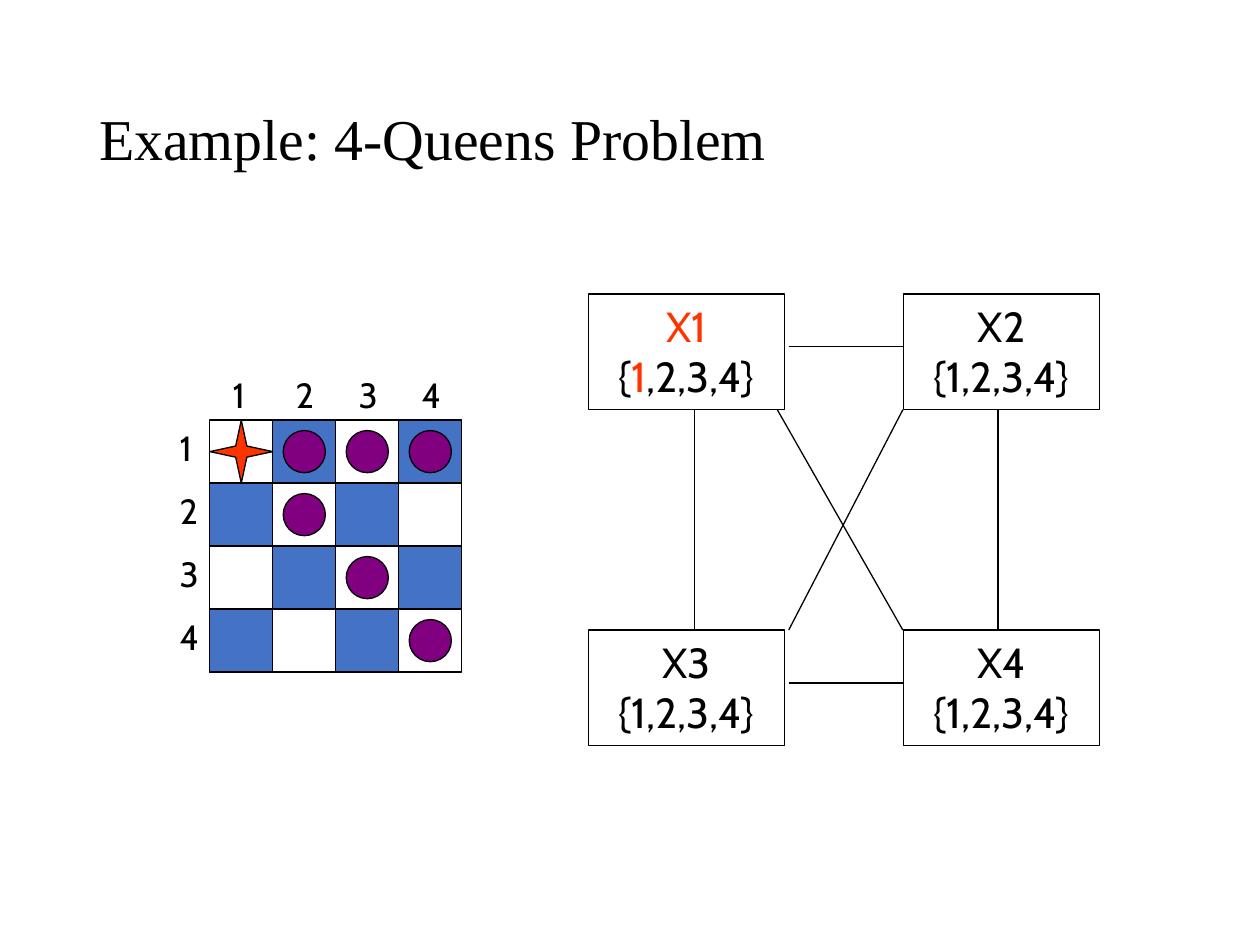
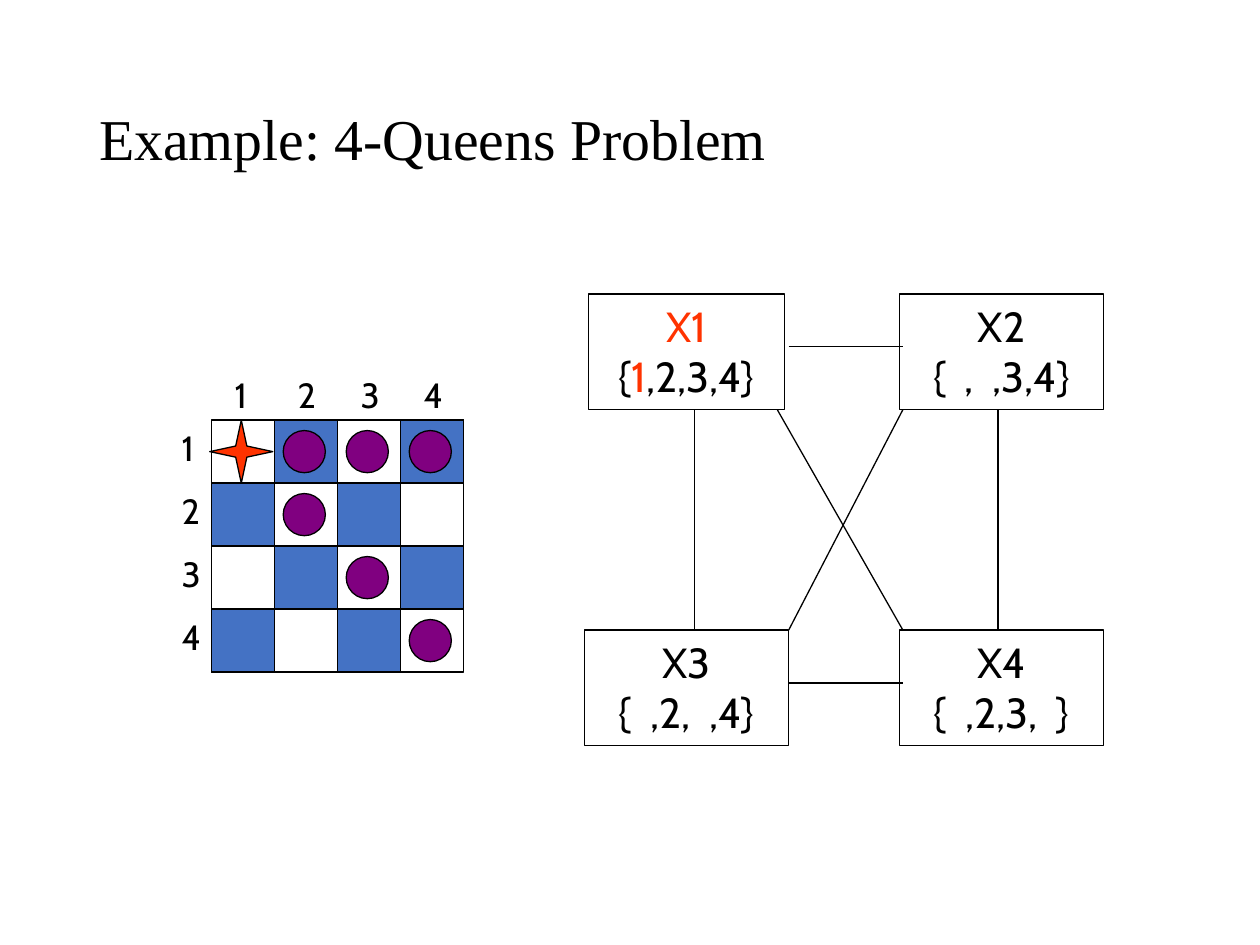
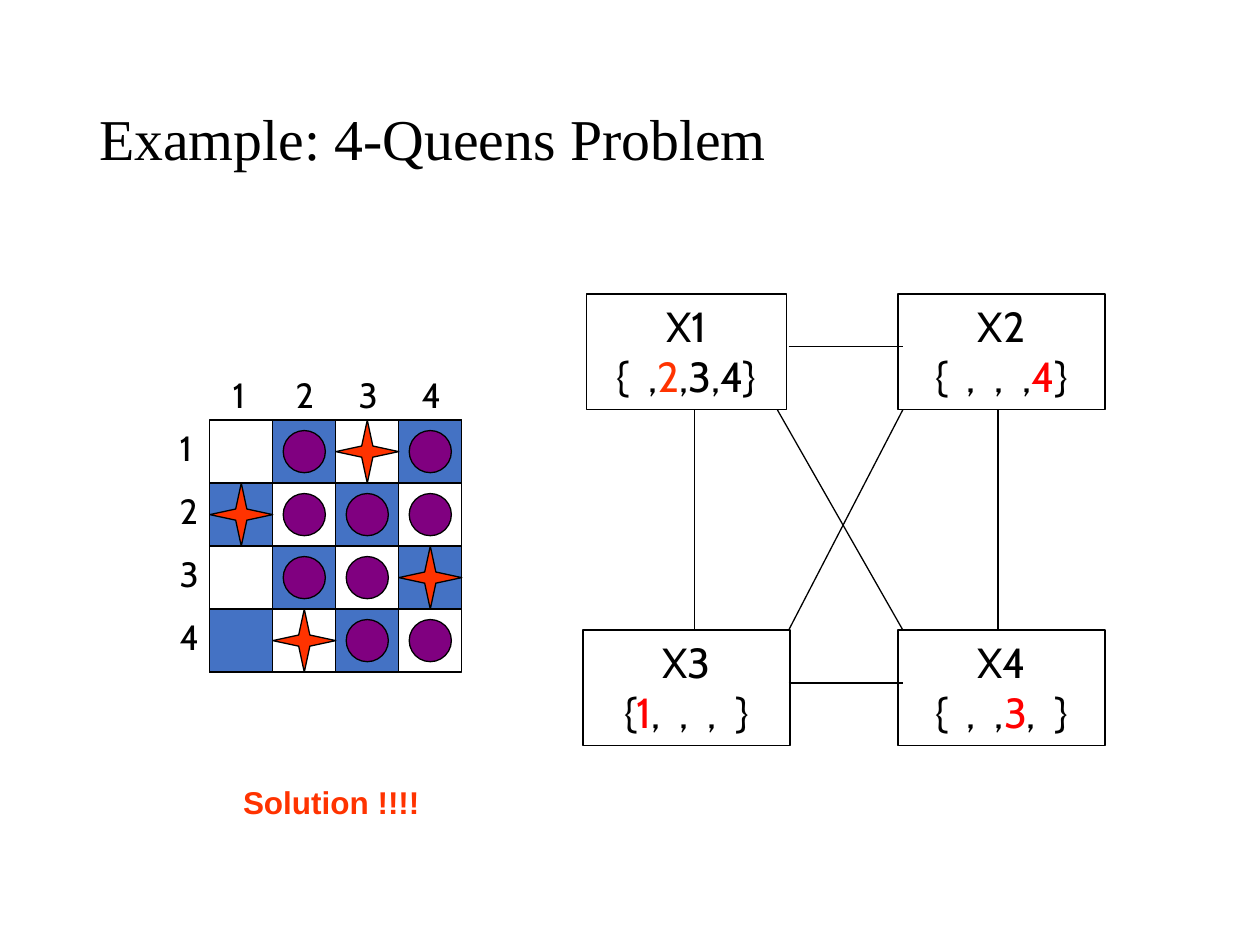
import itertools

import pptx
import pptx.dml.color
import pptx.enum.shapes
import pptx.enum.text
import pptx.oxml.ns
import pptx.util
from lxml import etree

Cm = pptx.util.Cm
Pt = pptx.util.Pt
SHAPE = pptx.enum.shapes.MSO_SHAPE
ANCHOR = pptx.enum.text.MSO_ANCHOR
ALIGN = pptx.enum.text.PP_ALIGN

COLORS = {"ink": "000000", "square": "4472C4", "queen": "FF3300",
          "attacked": "800080", "chosen": "FF0000"}
TITLE = "Example: 4-Queens Problem"
FONT = "Cabin"

FIRST_QUEEN = ["*ooo", ".o..", "..o.", "...o"]
SOLVED = [".o*o", "*ooo", ".oo*", ".*oo"]

SLIDES = [
    {"board_left": 4.23, "pieces": FIRST_QUEEN, "note": None,
     "variables": [
         ("X1", "{1,2,3,4}", "X1", "queen", 3.96),
         ("X2", "{1,2,3,4}", "", "ink", 3.96),
         ("X3", "{1,2,3,4}", "", "ink", 3.96),
         ("X4", "{1,2,3,4}", "", "ink", 3.96)]},
    {"board_left": 4.27, "pieces": FIRST_QUEEN, "note": None,
     "variables": [
         ("X1", "{1,2,3,4}", "X1", "queen", 3.96),
         ("X2", "{ , ,3,4}", "", "ink", 4.1),
         ("X3", "{ ,2, ,4}", "", "ink", 4.1),
         ("X4", "{ ,2,3, }", "", "ink", 4.1)]},
    {"board_left": 4.23, "pieces": SOLVED, "note": "Solution !!!!",
     "variables": [
         ("X1", "{ ,2,3,4}", "2", "queen", 4.04),
         ("X2", "{ , , ,4}", "4", "chosen", 4.17),
         ("X3", "{1, , , }", "1", "chosen", 4.17),
         ("X4", "{ , ,3, }", "3", "chosen", 4.17)]},
]

CELL = 1.27
DISC = 0.85
GRID_LEFT, GRID_TOP = 4.23, 8.47
NODE_CENTERS = (13.84, 20.19)
NODE_TOPS = (5.93, 12.7)
NODE_HEIGHT = 2.33
GAP_SPACING = 540
EDGES = [(15.9, 6.99, 18.2, 6.99), (14, 8.26, 14, 12.7),
         (15.9, 13.77, 18.2, 13.77), (20.12, 8.26, 20.12, 12.7),
         (15.67, 8.26, 18.2, 12.7), (18.2, 8.26, 15.9, 12.7)]


def rgb(name):
    return pptx.dml.color.RGBColor.from_string(COLORS[name])


def style(r, size, color="ink", font=FONT, bold=False):
    r.font.size = Pt(size)
    r.font.name = font
    r.font.bold = bold
    r.font.color.rgb = rgb(color)


def add_shape(slide, kind, left, top, width, height, fill=None):
    sp = slide.shapes.add_shape(kind, Cm(left), Cm(top), Cm(width), Cm(height))
    sp.shadow.inherit = False
    if fill:
        sp.fill.solid()
        sp.fill.fore_color.rgb = rgb(fill)
    else:
        sp.fill.background()
    sp.line.color.rgb = rgb("ink")
    sp.line.width = Pt(0.75)
    return sp


def add_text(slide, text, left, top, width, height, size, wrap=True, **look):
    sp = slide.shapes.add_textbox(Cm(left), Cm(top), Cm(width), Cm(height))
    tf = sp.text_frame
    tf.text = text
    tf.word_wrap = wrap
    style(tf.paragraphs[0].runs[0], size, **look)
    return tf


def add_title(slide):
    tf = add_text(slide, TITLE, 1.75, 1.02, 21.9, 3.68, 33, font="Times New Roman")
    tf.vertical_anchor = ANCHOR.MIDDLE
    tf.paragraphs[0].line_spacing = 0.9


def add_board(slide, left):
    add_shape(slide, SHAPE.RECTANGLE, left, GRID_TOP, 4 * CELL, 4 * CELL)
    for row, col in itertools.product(range(4), repeat=2):
        if (row + col) % 2:
            add_shape(slide, SHAPE.RECTANGLE, left + col * CELL,
                      GRID_TOP + row * CELL, CELL, CELL, "square")
    for i in range(4):
        for x, y in [(left - 0.86, GRID_TOP + i * CELL),
                     (left + 0.21 + i * CELL, GRID_TOP - 1.06)]:
            add_text(slide, str(i + 1), x, y, 0.89, 1.12, 20, wrap=False)


def add_pieces(slide, rows):
    inset = (CELL - DISC) / 2
    for row, marks in enumerate(rows):
        for col, mark in enumerate(marks):
            x, y = GRID_LEFT + col * CELL, GRID_TOP + row * CELL
            if mark == "*":
                sp = add_shape(slide, SHAPE.STAR_4_POINT, x, y, CELL, CELL, "queen")
                sp.adjustments[0] = 0.125
            elif mark == "o":
                add_shape(slide, SHAPE.OVAL, x + inset, y + inset, DISC, DISC, "attacked")


def add_variable(slide, index, name, domain, marked, color, width):
    row, col = divmod(index, 2)
    sp = add_shape(slide, SHAPE.RECTANGLE, NODE_CENTERS[col] - width / 2,
                   NODE_TOPS[row], width, NODE_HEIGHT)
    tf = sp.text_frame
    tf.word_wrap = False
    tf.vertical_anchor = ANCHOR.TOP
    for i, line in enumerate((name, domain)):
        p = tf.paragraphs[0] if i == 0 else tf.add_paragraph()
        p.alignment = ALIGN.CENTER
        for (hit, gap), chars in itertools.groupby(
                line, lambda c: (c in marked, c == " ")):
            r = p.add_run()
            r.text = "".join(chars)
            style(r, 24, color if hit and (i or name == marked) else "ink")
            if gap:
                r._r.get_or_add_rPr().set("spc", str(GAP_SPACING))


def add_edge(slide, x1, y1, x2, y2):
    line = slide.shapes.add_connector(
        pptx.enum.shapes.MSO_CONNECTOR.STRAIGHT, Cm(x1), Cm(y1), Cm(x2), Cm(y2))
    line.line.color.rgb = rgb("ink")
    line.line.width = Pt(0.75)
    etree.SubElement(line._element.spPr, pptx.oxml.ns.qn("a:effectLst"))


def main():
    prs = pptx.Presentation()
    prs.slide_width, prs.slide_height = Cm(25.4), Cm(19.05)
    for content in SLIDES:
        slide = prs.slides.add_slide(prs.slide_layouts[6])
        add_title(slide)
        add_board(slide, content["board_left"])
        for index, variable in enumerate(content["variables"]):
            add_variable(slide, index, *variable)
        for edge in EDGES:
            add_edge(slide, *edge)
        add_pieces(slide, content["pieces"])
        if content["note"]:
            add_text(slide, content["note"], 4.65, 15.67, 6.15, 1.02, 18,
                     color="queen", font="Arial", bold=True)
    prs.save("out.pptx")


if __name__ == "__main__":
    main()
